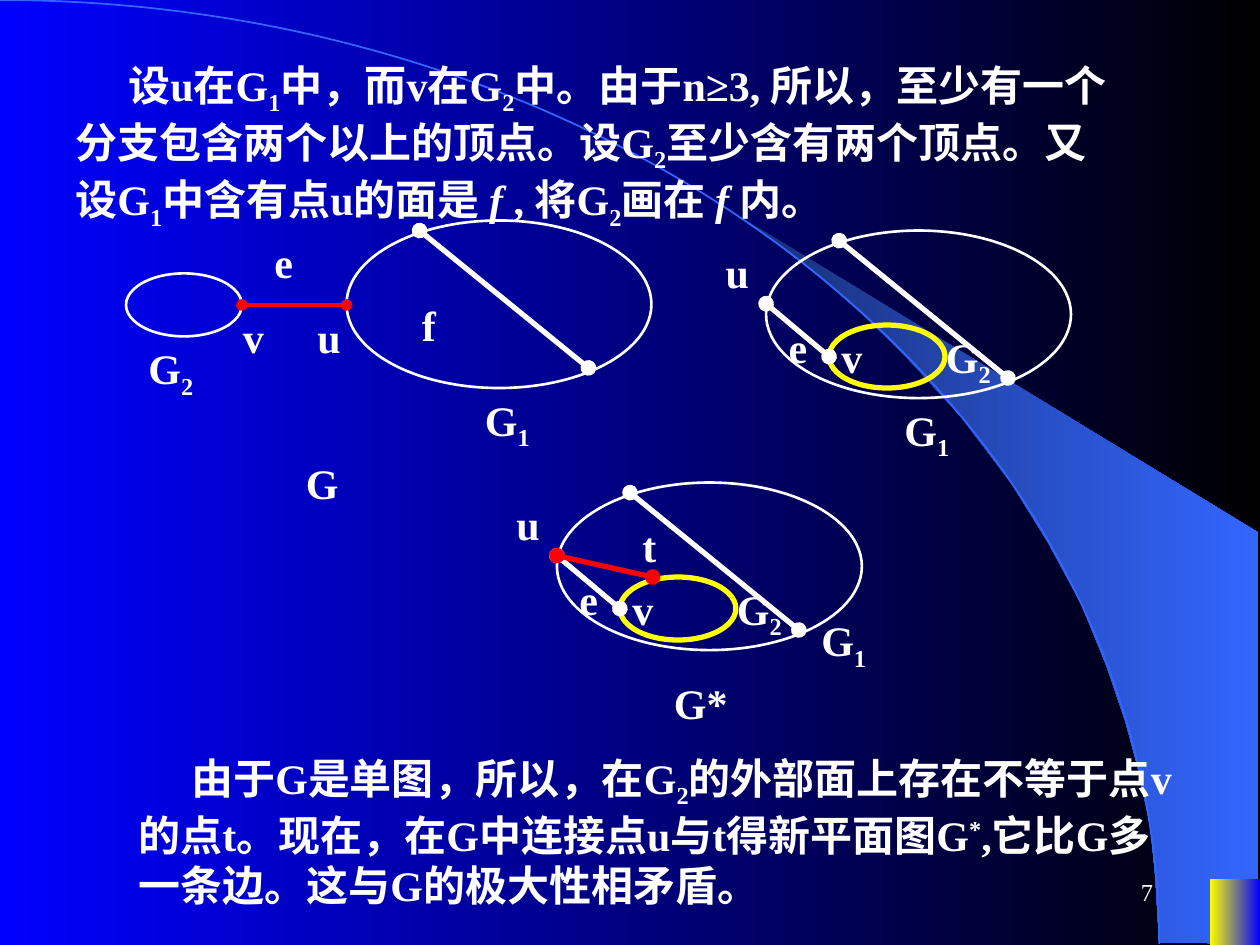
from math import cos, pi, sin

from lxml import etree
from pptx import Presentation
from pptx.dml.color import RGBColor
from pptx.enum.shapes import MSO_CONNECTOR, MSO_SHAPE
from pptx.enum.text import MSO_ANCHOR, PP_ALIGN
from pptx.oxml.ns import qn
from pptx.util import Inches, Pt

OVAL, RECT = MSO_SHAPE.OVAL, MSO_SHAPE.RECTANGLE
STRAIGHT = MSO_CONNECTOR.STRAIGHT
TOP, MIDDLE = MSO_ANCHOR.TOP, MSO_ANCHOR.MIDDLE
LEFT, RIGHT = PP_ALIGN.LEFT, PP_ALIGN.RIGHT

THEME = {
    "font": "Times New Roman", "body": 24, "number": 14,
    "white": "FFFFFF", "red": "FF0000", "yellow": "FFFF00", "blue": "0000FF",
    "black": "000000", "arc": "3366FF", "shade": "182F76",
    "thin": 1.5, "bridge": 2.25, "thick": 3,
}
SCRIPTS = {"_": "-25000", "^": "30000"}

PARAGRAPHS = [
    ((0.5, 0.42, 8.42, 1.47),
     "设u在G|_1|中，而v在G|_2|中。由于n≥3, 所以，至少有一个分支包含两个以上的顶点。设G|_2"
     "|至少含有两个顶点。又设G|_1|中含有点u的面是 |/f |, 将G|_2|画在 |/f |内。"),
    ((1, 5.92, 8.42, 1.36),
     "由于G是单图，所以，在G|_2|的外部面上存在不等于点v的点t。现在，在G中连接点u与t得新平面图G|^*"
     "|,它比G多一条边。这与G的极大性相矛盾。"),
]
INDENT = 0.42

OUTER_SIZE, INNER_SIZE = (2.42, 1.33), (0.92, 0.5)
CHORD = ((0.58, 0.08), (1.92, 1.17), "white", "thick")
NESTED_EDGE = ((0, 0.58), (0.5, 1), "white", "thick")
NESTED_LABELS = [("v", 0.5, 0.75), ("u", -0.42, 0.08), ("e", 0.08, 0.67), ("G|_2", 1.33, 0.75)]

FIGURES = [
    {"origin": (6.08, 1.83), "inner": (0.5, 0.75, "yellow", "thick"),
     "labels": NESTED_LABELS + [("G|_1", 1, 1.33)], "edges": [CHORD, NESTED_EDGE]},
    {"origin": (2.75, 1.75), "inner": (-1.75, 0.42, "white", "thin"),
     "labels": [("u", -0.33, 0.67), ("v", -0.92, 0.67), ("e", -0.67, 0.08),
                ("G|_1", 1, 1.33), ("G|_2", -1.67, 0.92), ("G", -0.42, 1.83), ("f", 0.5, 0.58)],
     "edges": [((-0.83, 0.67), (0, 0.67), "red", "bridge"), CHORD]},
    {"origin": (4.42, 3.83), "inner": (0.5, 0.75, "yellow", "thick"),
     "labels": NESTED_LABELS + [("G|_1", 2, 1), ("t", 0.58, 0.25), ("G*", 0.83, 1.5)],
     "edges": [CHORD, NESTED_EDGE, ((0, 0.58), (0.76, 0.75), "red", "thick")]},
]

ARC_WIDTH, ARC_HEIGHT, ARC_STEPS = 9.2, 7.49, 90
SWOOSH = [
    (9.2, 7.48), (9.99, 7.49), (9.99, 4.23), (5.89, 1.73), (6.24, 1.99), (6.53, 2.22),
    (6.85, 2.5), (7.16, 2.8), (7.62, 3.3), (8.03, 3.84), (8.32, 4.31), (8.58, 4.79),
    (8.78, 5.28), (8.93, 5.72), (9.03, 6.09), (9.13, 6.56), (9.17, 6.96),
]


def color(name):
    return RGBColor.from_string(THEME[name])


def set_gradient(fill, start, end):
    fill.gradient()
    fill.gradient_angle = 0
    for stop, name in zip(fill.gradient_stops, (start, end)):
        stop.color.rgb = color(name)


def set_line(line, name, width):
    line.color.rgb = color(name)
    line.width = Pt(width)


def add_outline(shapes, points, close):
    pts = [(Inches(x), Inches(y)) for x, y in points]
    builder = shapes.build_freeform(*pts[0], scale=1.0)
    builder.add_line_segments(pts[1:], close=close)
    sp = builder.convert_to_shape()
    sp.shadow.inherit = False
    return sp


def add_text(shapes, box, markup, size="body", bold=True, align=LEFT, anchor=TOP, indent=0):
    sp = shapes.add_textbox(*map(Inches, box))
    tf = sp.text_frame
    tf.word_wrap = True
    tf.vertical_anchor = anchor
    p = tf.paragraphs[0]
    p.alignment = align
    if indent:
        p._p.get_or_add_pPr().set("indent", str(Inches(indent)))
    for piece in markup.split("|"):
        mark = piece[0] if piece[0] in "_^/" else ""
        r = p.add_run()
        r.text = piece[len(mark):]
        r.font.name = THEME["font"]
        r.font.size = Pt(THEME[size])
        r.font.bold = bold
        r.font.color.rgb = color("white")
        if mark == "/":
            r.font.italic = True
        elif mark:
            r._r.get_or_add_rPr().set("baseline", SCRIPTS[mark])


def add_ellipse(shapes, x, y, size, name, weight):
    sp = shapes.add_shape(OVAL, *map(Inches, (x, y, *size)))
    sp.shadow.inherit = False
    sp.fill.background()
    set_line(sp.line, name, THEME[weight])


def add_edge(shapes, start, end, name, weight):
    edge = shapes.add_connector(STRAIGHT, *map(Inches, (*start, *end)))
    set_line(edge.line, name, THEME[weight])
    ln = edge.line._get_or_add_ln()
    for tag in ("a:headEnd", "a:tailEnd"):
        etree.SubElement(ln, qn(tag), type="oval")
    etree.SubElement(edge._element.spPr, qn("a:effectLst"))


def add_figure(s, fig):
    shapes = s.shapes.add_group_shape().shapes
    left, top = fig["origin"]
    dx, dy, name, weight = fig["inner"]
    add_ellipse(shapes, left + dx, top + dy, INNER_SIZE, name, weight)
    add_ellipse(shapes, left, top, OUTER_SIZE, "white", "thin")
    for label, dx, dy in fig["labels"]:
        width = 0.75 if "*" in label else 0.67 if label[0] == "G" else 0.52
        height = 0.56 if "_" in label else 0.5
        add_text(shapes, (left + dx, top + dy, width, height), label)
    for start, end, name, weight in fig["edges"]:
        ends = [(left + x, top + y) for x, y in (start, end)]
        add_edge(shapes, *ends, name, weight)


def add_backdrop(s):
    set_gradient(s.background.fill, "blue", "black")
    swoosh = add_outline(s.shapes, SWOOSH, True)
    set_gradient(swoosh.fill, "shade", "arc")
    swoosh.line.fill.background()
    angles = [pi / 2 * i / ARC_STEPS for i in range(ARC_STEPS + 1)]
    arc = add_outline(
        s.shapes, [(ARC_WIDTH * sin(a), ARC_HEIGHT * (1 - cos(a))) for a in angles], False)
    arc.fill.background()
    set_line(arc.line, "arc", 1)
    corner = s.shapes.add_shape(RECT, *map(Inches, (9.6, 6.98, 0.4, 0.52)))
    corner.shadow.inherit = False
    set_gradient(corner.fill, "yellow", "blue")
    corner.line.fill.background()


def main():
    prs = Presentation()
    prs.slide_width, prs.slide_height = Inches(10), Inches(7.5)
    s = prs.slides.add_slide(prs.slide_layouts[6])
    add_backdrop(s)
    add_text(s.shapes, (7.17, 6.83, 2.08, 0.5), "7", "number", False, RIGHT, MIDDLE)
    for box, markup in PARAGRAPHS:
        add_text(s.shapes, box, markup, indent=INDENT)
    for fig in FIGURES:
        add_figure(s, fig)
    prs.save("out.pptx")


if __name__ == "__main__":
    main()
